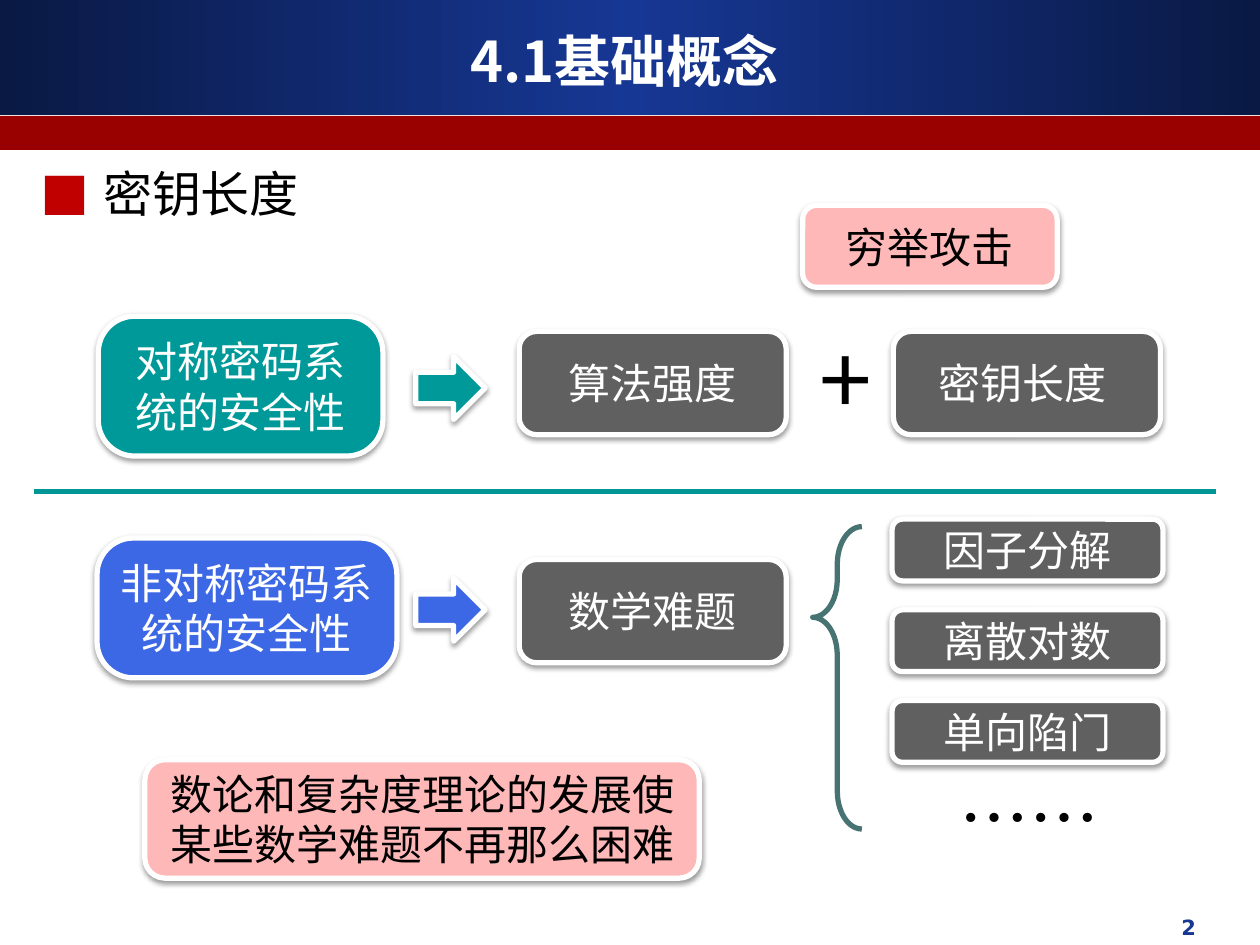
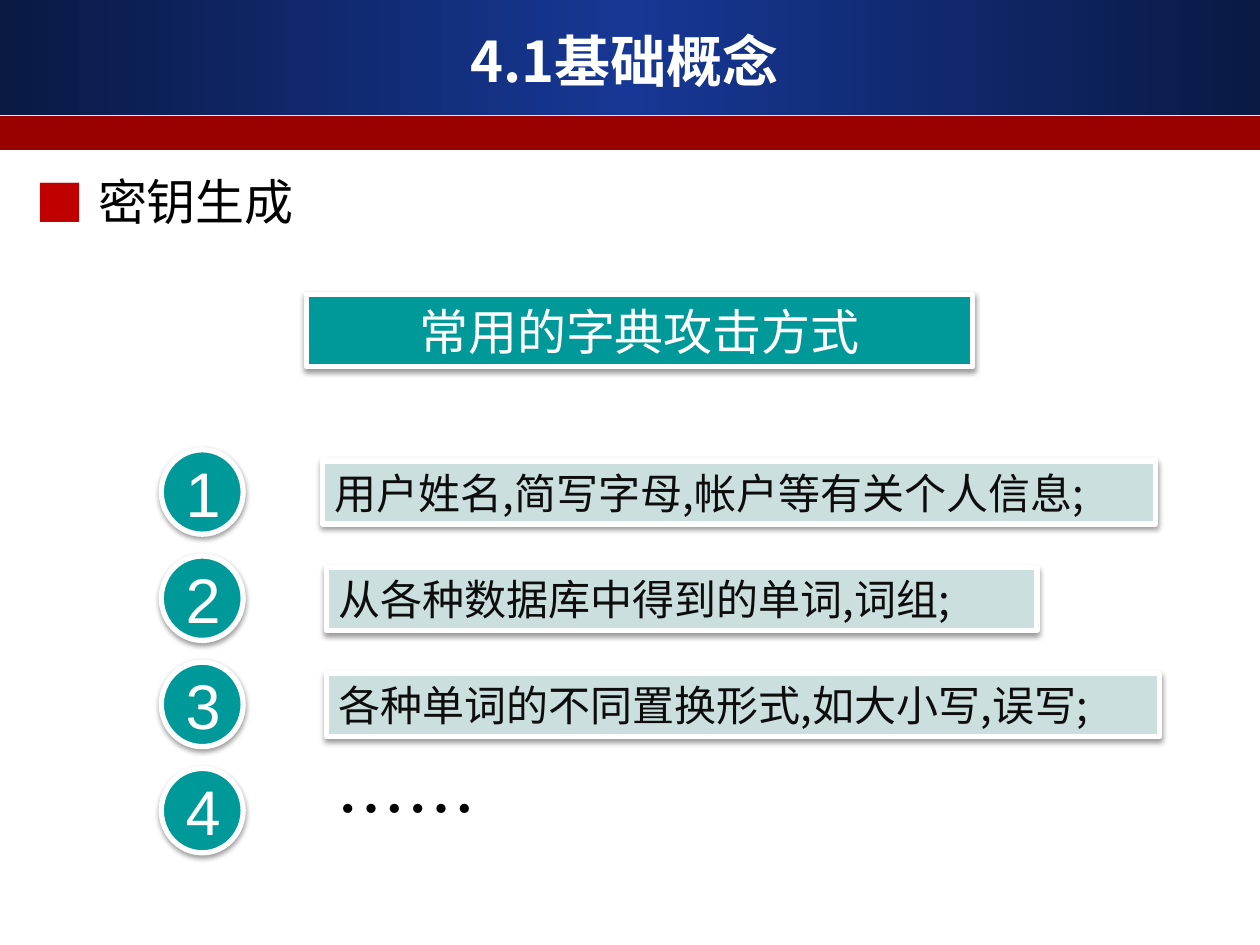
from lxml.etree import SubElement as Sub
from pptx import Presentation
from pptx.dml.color import RGBColor as Rgb
from pptx.enum.shapes import MSO_CONNECTOR as Link, MSO_SHAPE as Form
from pptx.enum.text import MSO_ANCHOR as Anchor, PP_ALIGN as Align
from pptx.oxml.ns import qn
from pptx.util import Inches, Pt

COLS, ROWS = 100, 75
FONT = "Noto Sans CJK SC"
HUES = {
    "navy": "0A1944", "blue": "163794", "band": "990000", "mark": "C00000",
    "teal": "009999", "rule": "009696", "brace": "477373", "royal": "3D68E5",
    "gray": "606060", "pink": "FFB8B8", "mist": "CCDFDF", "ink": "0D0D0D",
    "white": "FFFFFF", "black": "000000",
}


def hue(name):
    return Rgb.from_string(HUES[name])


def node(parent, tag, **attrs):
    return Sub(parent, qn("a:" + tag), {key: str(val) for key, val in attrs.items()})


def tint(parent, name):
    return node(parent, "srgbClr", val=HUES[name])


class Deck:
    def __init__(self):
        self.show = Presentation()
        self.show.slide_width, self.show.slide_height = Inches(10), Inches(7.5)
        self.col = self.show.slide_width / COLS
        self.row = self.show.slide_height / ROWS
        self.slide = None

    def place(self, x, y, w, h):
        return [round(val * unit) for val, unit in
                zip((x, y, w, h), (self.col, self.row) * 2)]

    def page(self, title, point, x, y):
        self.slide = self.show.slides.add_slide(self.show.slide_layouts[6])
        self.fade(0, 0, COLS, 9.1)
        self.shape(Form.RECTANGLE, 0, 9.2, COLS, 2.7, "band")
        self.text(title, 3.3, 1.7, 92.5, 6.2, 32, "white", Align.CENTER,
                  bold=True, anchor=Anchor.MIDDLE)
        self.point(point, x, y)

    def shape(self, form, x, y, w, h, fill=None, line=None, width=3, bends=()):
        item = self.slide.shapes.add_shape(form, *self.place(x, y, w, h))
        for spot, bend in enumerate(bends):
            item.adjustments[spot] = bend
        if fill:
            item.fill.solid()
            item.fill.fore_color.rgb = hue(fill)
        else:
            item.fill.background()
        if line:
            item.line.color.rgb = hue(line)
            item.line.width = Pt(width)
        else:
            item.line.fill.background()
        item.shadow.inherit = False
        return item

    def fade(self, x, y, w, h):
        item = self.shape(Form.RECTANGLE, x, y, w, h, "navy")
        item.fill.gradient()
        item.fill.gradient_angle = 0
        stops = item.element.spPr.find(".//" + qn("a:gsLst"))
        stops.clear()
        for share, name in ((0, "navy"), (50, "blue"), (100, "navy")):
            tint(node(stops, "gs", pos=share * 1000), name)

    def card(self, form, x, y, w, h, fill, bends=()):
        item = self.shape(form, x, y, w, h, fill, "white", bends=bends)
        glow = node(item.element.spPr.find(qn("a:effectLst")), "outerShdw",
                    blurRad=Pt(3.1), dist=Pt(1.6), dir=90 * 60000, rotWithShape=0)
        node(tint(glow, "black"), "alpha", val=38000)
        return item

    def label(self, text, form, x, y, w, h, fill, size=24, ink="white",
              align=Align.CENTER, anchor=Anchor.MIDDLE, font=FONT, bends=()):
        item = self.card(form, x, y, w, h, fill, bends)
        self.put(item, text, size, ink, align, anchor, font)

    def box(self, text, x, y, w, h, fill, bend=0.17, ink="white"):
        self.label(text, Form.ROUNDED_RECTANGLE, x, y, w, h, fill, ink=ink, bends=[bend])

    def strip(self, text, x, y, w, h, fill, **style):
        self.label(text, Form.RECTANGLE, x, y, w, h, fill, anchor=Anchor.TOP, **style)

    def text(self, text, x, y, w, h, size, ink="black", align=Align.LEFT,
             font=FONT, bold=False, anchor=Anchor.TOP):
        item = self.slide.shapes.add_textbox(*self.place(x, y, w, h))
        self.put(item, text, size, ink, align, anchor, font, bold)

    def point(self, text, x, y):
        item = self.shape(Form.RECTANGLE, x, y, 90.2, 5.7, "white", "white", 2)
        props = item.text_frame.paragraphs[0]._p.get_or_add_pPr()
        props.set("marL", str(Inches(0.5)))
        props.set("indent", str(-Inches(0.5)))
        tint(node(props, "buClr"), "mark")
        node(props, "buFont", typeface=FONT)
        node(props, "buChar", char="■")
        self.put(item, text, 28, "black", Align.LEFT, Anchor.TOP)

    def put(self, item, text, size, ink, align, anchor, font=FONT, bold=False):
        frame = item.text_frame
        frame.word_wrap = True
        frame.vertical_anchor = anchor
        para = frame.paragraphs[0]
        para.add_run().text = text
        para.alignment = align
        face = para.font
        face.size, face.bold, face.name = Pt(size), bold, font
        face.color.rgb = hue(ink)
        node(para._p.pPr.find(qn("a:defRPr")), "ea", typeface=font)

    def rule(self, x, y, end):
        left, top, right, base = self.place(x, y, end, y)
        item = self.slide.shapes.add_connector(Link.STRAIGHT, left, top, right, base)
        item.line.color.rgb = hue("rule")
        item.line.width = Pt(3)
        node(item.element.spPr, "effectLst")


def lengths(deck):
    deck.page("4.1基础概念", "密钥长度", 2.2, 12.5)
    deck.text("2", 64.2, 72.1, 31.7, 3.5, 12, "blue", Align.RIGHT, "DejaVu Sans", True)
    deck.box("对称密码系统的安全性", 7.8, 25.1, 22.6, 11.1, "teal", 0.26)
    deck.box("非对称密码系统的安全性", 7.7, 42.7, 23.8, 11.1, "royal", 0.26)
    for y, fill in ((28.3, "teal"), (45.9, "royal")):
        deck.card(Form.RIGHT_ARROW, 33, y, 5.5, 5, fill)
    for text, x, y in (("算法强度", 41.2, 26.3), ("密钥长度 ", 70.9, 26.3),
                       ("数学难题", 41.2, 44.4)):
        deck.box(text, x, y, 21.2, 8.2, "gray")
    deck.text("+", 64.1, 25, 8.7, 10.1, 54)
    deck.rule(2.7, 39, 96.5)
    deck.shape(Form.LEFT_BRACE, 64.5, 41.8, 3.9, 24, line="brace", bends=(0.77, 0.3))
    for step, text in enumerate(("因子分解", "离散对数", "单向陷门")):
        deck.box(text, 70.8, 41.2 + step * 7.2, 21.5, 4.9, "gray")
    deck.text("……", 75.2, 61, 15, 7.7, 40)
    deck.box("穷举攻击", 63.7, 16.3, 20.2, 6.5, "pink", ink="black")
    deck.box("数论和复杂度理论的发展使某些数学难题不再那么困难",
             11.5, 60.3, 44, 9.4, "pink", ink="black")


def attacks(deck):
    deck.page("4.1基础概念", "密钥生成", 1.8, 13.1)
    deck.strip("常用的字典攻击方式", 24.3, 23.4, 52.9, 5.7, "teal", size=28)
    ways = (("用户姓名,简写字母,帐户等有关个人信息;", 25.6, 66.1),
            ("从各种数据库中得到的单词,词组;", 25.9, 56.4),
            ("各种单词的不同置换形式,如大小写,误写;", 25.9, 66.1))
    top, step = 35.7, 8.43
    for spot, (text, x, w) in enumerate(ways):
        deck.strip(text, x, top + 0.9 + spot * step, w, 5, "mist",
                   ink="ink", align=Align.LEFT)
    for spot in range(4):
        deck.label(str(spot + 1), Form.OVAL, 12.8, top + spot * step, 6.5, 6.7,
                   "teal", size=36, font="Arial")
    deck.text("……", 25.7, 60.3, 15, 7.7, 40)


def main():
    deck = Deck()
    lengths(deck)
    attacks(deck)
    deck.show.save("out.pptx")


if __name__ == "__main__":
    main()
